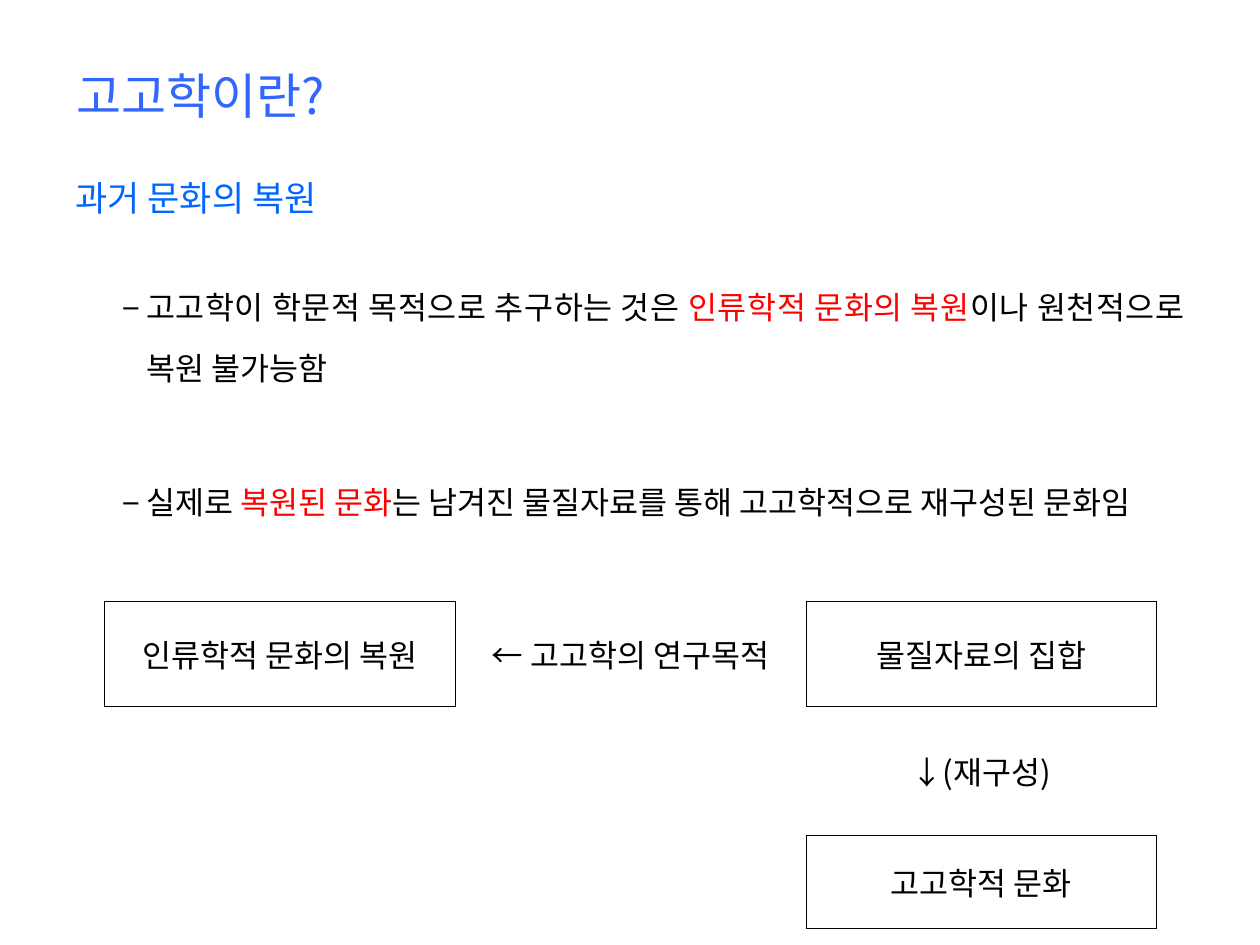
from lxml import etree
from pptx import Presentation
from pptx.dml.color import RGBColor
from pptx.enum.text import MSO_ANCHOR, PP_ALIGN
from pptx.oxml.ns import qn
from pptx.util import Pt

MIDDLE, TOP = MSO_ANCHOR.MIDDLE, MSO_ANCHOR.TOP
LEFT, CENTER, JUSTIFY = PP_ALIGN.LEFT, PP_ALIGN.CENTER, PP_ALIGN.JUSTIFY

FONT = "Noto Sans CJK KR"
COLORS = {"title": "3366FF", "heading": "0066FF", "text": "000000", "accent": "FF0000"}

HEADING = {"alignment": LEFT, "line_spacing": Pt(22.5)}
BULLET = {"alignment": JUSTIFY, "line_spacing": Pt(34.9)}
BULLETS = [
    (26.7, [("고고학이 학문적 목적으로 추구하는 것은 ", "text"),
            ("인류학적 문화의 복원", "accent"),
            ("이나 원천적으로 복원 불가능함", "text")]),
    (41.7, [("실제로 ", "text"),
            ("복원된 문화", "accent"),
            ("는 남겨진 물질자료를 통해 고고학적으로 재구성된 문화임", "text")]),
]

ROW_HEIGHTS = [60, 74.2, 53]
COL_WIDTH = 200.4
CELLS = [
    ["인류학적 문화의 복원", "← 고고학의 연구목적", "물질자료의 집합"],
    ["", "", "↓(재구성)"],
    ["", "", "고고학적 문화"],
]
BOXED = {(0, 0), (0, 2), (2, 2)}
SIDES = {"a:lnL": (0, -1), "a:lnR": (0, 1), "a:lnT": (-1, 0), "a:lnB": (1, 0)}


def set_format(obj, values):
    for name, value in values.items():
        setattr(obj, name, value)


def add_run(p, text, size, color):
    r = p.add_run()
    r.text = text
    set_format(r.font, {"name": FONT, "size": Pt(size)})
    r.font.color.rgb = RGBColor.from_string(COLORS[color])
    etree.SubElement(r.font._element, qn("a:ea"), typeface=FONT)


def add_text_box(slide, left, top, width, height, anchor):
    tf = slide.shapes.add_textbox(Pt(left), Pt(top), Pt(width), Pt(height)).text_frame
    set_format(tf, {"word_wrap": True, "vertical_anchor": anchor})
    return tf


def add_bullet(tf, space_before, runs):
    p = tf.add_paragraph()
    set_format(p, BULLET | {"space_before": Pt(space_before)})
    pPr = p._p.get_or_add_pPr()
    pPr.set("marL", str(Pt(40.5)))
    pPr.set("indent", str(Pt(-13.5)))
    etree.SubElement(pPr, qn("a:buFont"), typeface=FONT)
    etree.SubElement(pPr, qn("a:buChar"), char="−")
    for text, color in runs:
        add_run(p, text, 18, color)


def set_borders(cell, row, col):
    """Draw each edge that belongs to a boxed cell on either side of it."""
    tcPr = cell._tc.get_or_add_tcPr()
    for tag, (dr, dc) in SIDES.items():
        ln = etree.SubElement(tcPr, qn(tag), w=str(Pt(0.28)))
        if BOXED & {(row, col), (row + dr, col + dc)}:
            fill = etree.SubElement(ln, qn("a:solidFill"))
            etree.SubElement(fill, qn("a:srgbClr"), val=COLORS["text"])
        else:
            etree.SubElement(ln, qn("a:noFill"))


def add_diagram_table(slide, left, top):
    rows, cols = len(CELLS), len(CELLS[0])
    table = slide.shapes.add_table(rows, cols, Pt(left), Pt(top),
                                   Pt(COL_WIDTH * cols), Pt(sum(ROW_HEIGHTS))).table
    set_format(table, {"first_row": False, "horz_banding": False})
    for col in table.columns:
        col.width = Pt(COL_WIDTH)
    for i, height in enumerate(ROW_HEIGHTS):
        table.rows[i].height = Pt(height)
        for j, text in enumerate(CELLS[i]):
            cell = table.cell(i, j)
            margins = ("margin_left", "margin_right", "margin_top", "margin_bottom")
            set_format(cell, dict.fromkeys(margins, Pt(1.4)) | {"vertical_anchor": MIDDLE})
            set_borders(cell, i, j)
            cell.fill.background()
            if text:
                p = cell.text_frame.paragraphs[0]
                p.alignment = CENTER
                add_run(p, text, 18, "text")


def main():
    prs = Presentation()
    set_format(prs, {"slide_width": Pt(720), "slide_height": Pt(540)})
    slide = prs.slides.add_slide(prs.slide_layouts[6])

    title = add_text_box(slide, 36.7, 25.2, 648, 62.6, MIDDLE).paragraphs[0]
    title.line_spacing = 0.9
    add_run(title, "고고학이란?", 28, "title")

    body = add_text_box(slide, 36, 98.6, 648, 423.4, TOP)
    heading = body.paragraphs[0]
    set_format(heading, HEADING)
    add_run(heading, "과거 문화의 복원", 20, "heading")
    for space_before, runs in BULLETS:
        add_bullet(body, space_before, runs)

    add_diagram_table(slide, 59.8, 343.4)
    prs.save("out.pptx")


if __name__ == "__main__":
    main()
